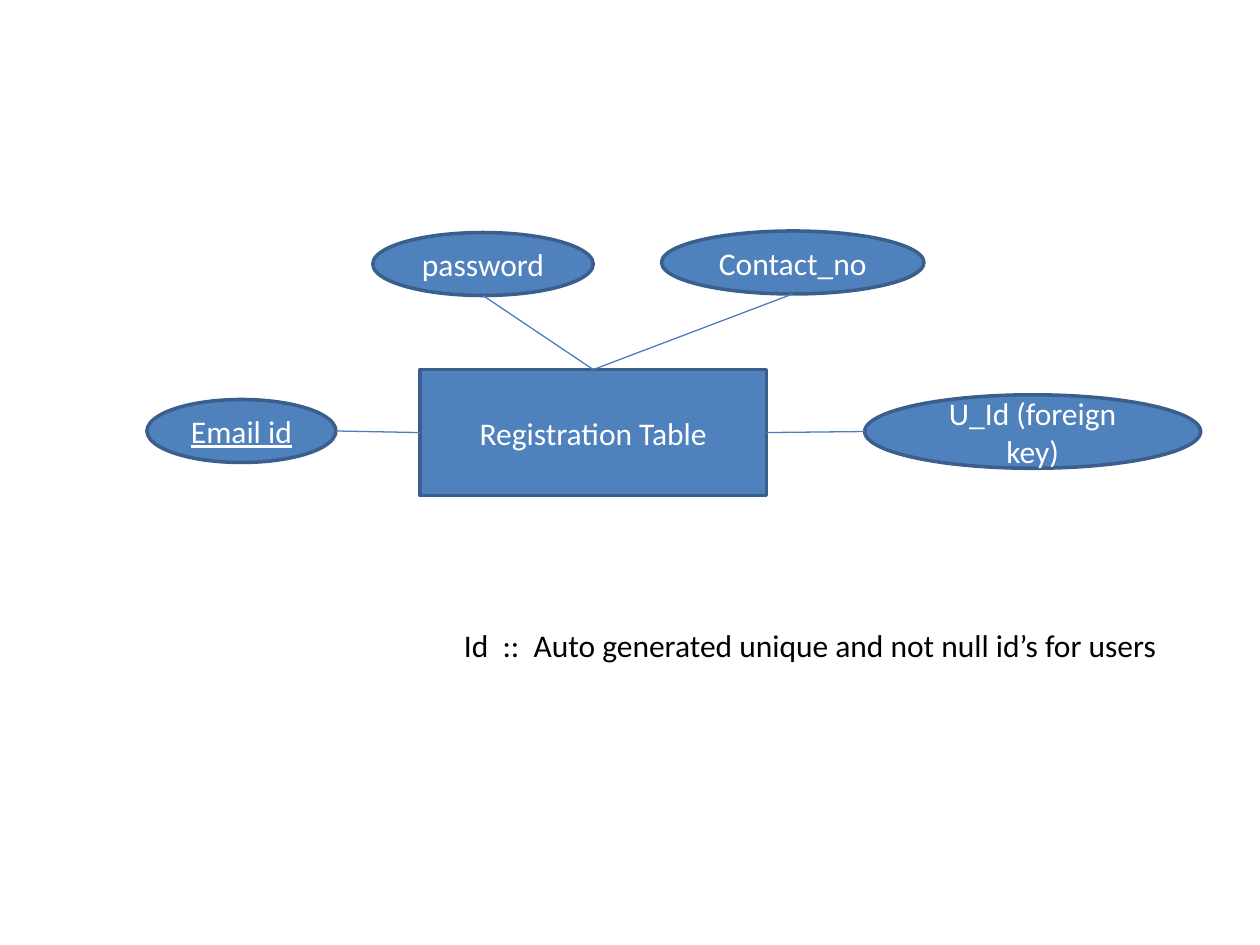
from dataclasses import dataclass

import pptx
import pptx.dml.color
import pptx.enum.shapes
import pptx.enum.text
import pptx.oxml.ns
import pptx.util
from lxml import etree

COLORS = {"fill": "4F81BD", "outline": "3A5F8C", "link": "4B7EBC",
          "light": "FFFFFF", "dark": "000000"}
FONT = "Calibri"
TEXT_SIZE = 18
COLUMNS, ROWS = 120, 90
ELLIPSE = pptx.enum.shapes.MSO_SHAPE.OVAL
RECTANGLE = pptx.enum.shapes.MSO_SHAPE.RECTANGLE


@dataclass(frozen=True)
class Node:
    """A diagram part, placed in columns and rows of the slide grid."""
    text: str
    left: float
    top: float
    width: float
    height: float = 6
    kind: pptx.enum.shapes.MSO_SHAPE = ELLIPSE
    underline: bool = False

    def side(self, name: str) -> tuple[float, float]:
        across, down = {"top": (0.5, 0), "bottom": (0.5, 1),
                        "left": (0, 0.5), "right": (1, 0.5)}[name]
        return self.left + across * self.width, self.top + down * self.height


presentation = pptx.Presentation()
presentation.slide_width = pptx.util.Inches(10)
presentation.slide_height = pptx.util.Inches(7.5)
slide = presentation.slides.add_slide(presentation.slide_layouts[6])


def x(columns: float) -> int:
    return round(presentation.slide_width * columns / COLUMNS)


def y(rows: float) -> int:
    return round(presentation.slide_height * rows / ROWS)


def color(name: str) -> pptx.dml.color.RGBColor:
    return pptx.dml.color.RGBColor.from_string(COLORS[name])


def write(shape, text: str, color_name: str, underline: bool = False) -> None:
    shape.text_frame.text = text
    shape.text_frame.word_wrap = True
    font = shape.text_frame.paragraphs[0].runs[0].font
    font.name, font.size = FONT, pptx.util.Pt(TEXT_SIZE)
    font.color.rgb = color(color_name)
    if underline:
        font.underline = True


def draw_node(node: Node) -> None:
    shape = slide.shapes.add_shape(node.kind, x(node.left), y(node.top),
                                   x(node.width), y(node.height))
    shape.shadow.inherit = False
    shape.fill.solid()
    shape.fill.fore_color.rgb = color("fill")
    shape.line.color.rgb = color("outline")
    shape.line.width = pptx.util.Pt(2)
    write(shape, node.text, "light", node.underline)
    shape.text_frame.vertical_anchor = pptx.enum.text.MSO_ANCHOR.MIDDLE
    shape.text_frame.paragraphs[0].alignment = pptx.enum.text.PP_ALIGN.CENTER


def draw_link(start: tuple[float, float], end: tuple[float, float]) -> None:
    connector = slide.shapes.add_connector(
        pptx.enum.shapes.MSO_CONNECTOR.STRAIGHT,
        x(start[0]), y(start[1]), x(end[0]), y(end[1]))
    connector.line.color.rgb = color("link")
    connector.line.width = pptx.util.Pt(0.75)
    etree.SubElement(connector._element.spPr, pptx.oxml.ns.qn("a:effectLst"))


# Entity and its attributes
user_id = Node("U_Id (foreign key)", 82.35, 37.6, 32, 7)
registration = Node("Registration Table", 40, 35.2, 33, 12, RECTANGLE)
email = Node("Email id", 14, 38.05, 18, underline=True)
password = Node("password", 35.5, 22.15, 21)
contact = Node("Contact_no", 63, 22, 25)

for node in (user_id, registration, email, password, contact):
    draw_node(node)

# Links between each attribute and the entity
for attribute, attribute_side, entity_side in (
        (email, "right", "left"), (password, "bottom", "top"),
        (contact, "bottom", "top"), (user_id, "left", "right")):
    draw_link(attribute.side(attribute_side), registration.side(entity_side))

# Explanation of the id
note = slide.shapes.add_textbox(x(43), y(59), x(70), y(4.8))
write(note, "Id  ::  Auto generated unique and not null id’s for users", "dark")

presentation.save("out.pptx")
